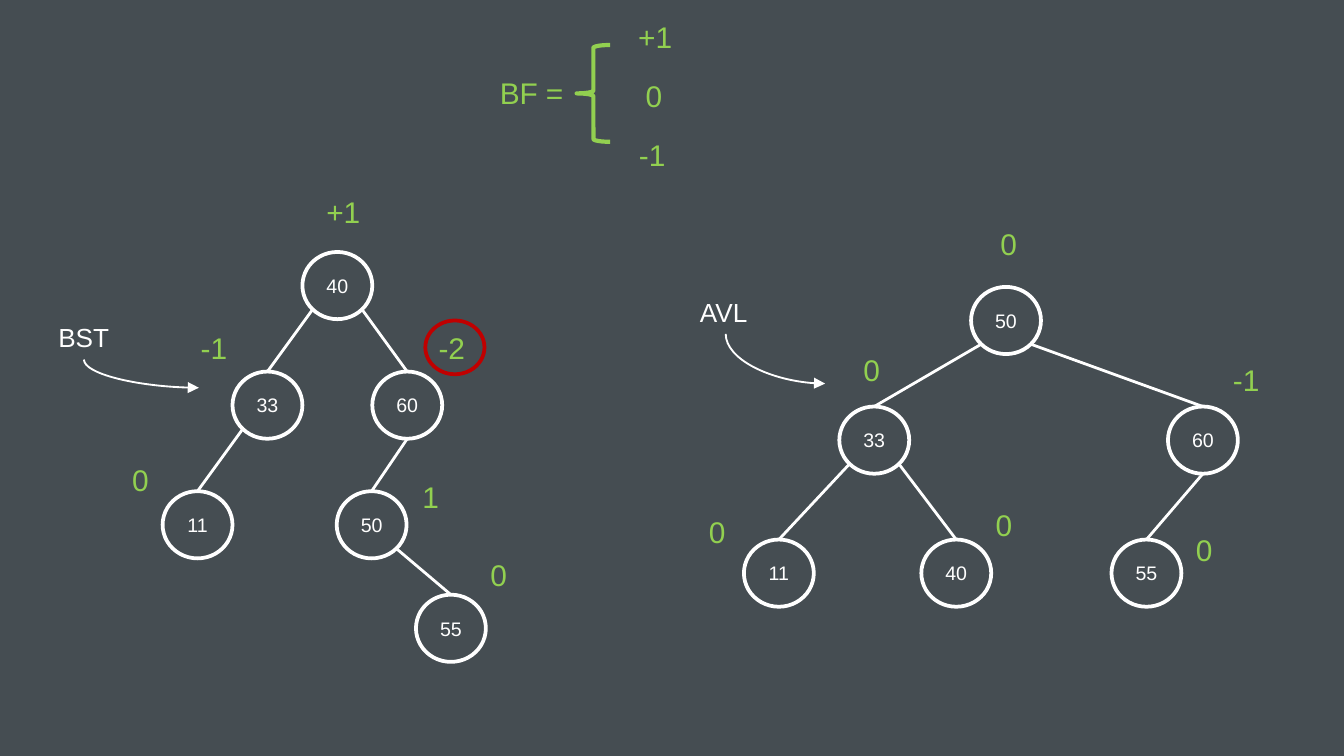
from pptx import Presentation
from pptx.dml.color import RGBColor
from pptx.enum.shapes import MSO_CONNECTOR, MSO_SHAPE
from pptx.enum.text import MSO_ANCHOR, MSO_AUTO_SIZE, PP_ALIGN
from pptx.oxml.ns import qn
from pptx.util import Pt
from lxml import etree

STRAIGHT, CURVE = MSO_CONNECTOR.STRAIGHT, MSO_CONNECTOR.CURVE
OVAL, BRACE = MSO_SHAPE.OVAL, MSO_SHAPE.LEFT_BRACE
TOP, MIDDLE = MSO_ANCHOR.TOP, MSO_ANCHOR.MIDDLE
FIT_SHAPE = MSO_AUTO_SIZE.SHAPE_TO_FIT_TEXT
CENTER = PP_ALIGN.CENTER

BACKGROUND = RGBColor(0x45, 0x4D, 0x52)
WHITE = RGBColor(0xFF, 0xFF, 0xFF)
GREEN = RGBColor(0x92, 0xD0, 0x50)
RED = RGBColor(0xC0, 0x00, 0x00)

EMU_PER_PX = 4572  # 200 px to the inch
NODE_W, NODE_H = 104, 100
DIAGONAL = 0.35  # offset of a 45° point on an ellipse, as a share of its size
LEFT, BELOW, RIGHT = -1, 0, 1

# Node value: left, top
BST_NODES = {"40": (450, 375), "33": (346, 553), "60": (554, 553),
             "11": (242, 731), "50": (501, 731), "55": (619, 885)}
# Parent, side where the edge leaves it, child
BST_EDGES = [("40", LEFT, "33"), ("33", LEFT, "11"), ("40", RIGHT, "60"),
             ("60", BELOW, "50"), ("50", RIGHT, "55")]
AVL_NODES = {"50": (1445, 427), "33": (1249, 605), "60": (1738, 605),
             "11": (1107, 803), "55": (1654, 803), "40": (1371, 803)}
AVL_EDGES = [("50", LEFT, "33"), ("33", LEFT, "11"), ("50", RIGHT, "60"),
             ("33", RIGHT, "40"), ("60", BELOW, "55")]

# Text, left, top, width
BALANCE_FACTORS = [
    ("0", 710, 819, 56), ("1", 609, 702, 56), ("-2", 633, 481, 82),
    ("-1", 279, 481, 82), ("0", 177, 677, 56), ("+1", 466, 278, 104),
    ("0", 1760, 782, 56), ("-1", 1815, 528, 86), ("0", 1469, 326, 56),
    ("0", 1035, 754, 56), ("0", 1462, 744, 56), ("0", 1265, 513, 56),
]
FORMULA = [("BF =", 724, 102, 150), ("+1", 930, 18, 116),
           ("0", 941, 106, 62), ("-1", 931, 194, 82)]


def px(*lengths):
    return [round(n * EMU_PER_PX) for n in lengths]


def add_run(p, text, size, color):
    r = p.add_run()
    r.text = text
    r.font.name = "Arial"
    r.font.size = Pt(size)
    r.font.color.rgb = color


def add_outline(s, kind, x, y, w, h, color, weight):
    """Add an unfilled preset shape."""
    sp = s.shapes.add_shape(kind, *px(x, y, w, h))
    sp.shadow.inherit = False
    sp.fill.background()
    sp.line.color.rgb = color
    sp.line.width = Pt(weight)
    return sp


def add_node(s, value, x, y):
    sp = add_outline(s, OVAL, x, y, NODE_W, NODE_H, WHITE, 2)
    tf = sp.text_frame
    tf.vertical_anchor = MIDDLE
    p = tf.paragraphs[0]
    p.alignment = CENTER
    add_run(p, value, 10.5, WHITE)


def add_line(s, kind, x1, y1, x2, y2, weight):
    cxn = s.shapes.add_connector(kind, *px(x1, y1, x2, y2))
    cxn.line.color.rgb = WHITE
    cxn.line.width = Pt(weight)
    etree.SubElement(cxn._element.spPr, qn("a:effectLst"))
    return cxn


def add_edge(s, parent, side, child):
    """Join the lower rim of the parent to the top of the child."""
    drop = DIAGONAL if side else 0.5
    x1 = parent[0] + NODE_W * (0.5 + side * DIAGONAL)
    y1 = parent[1] + NODE_H * (0.5 + drop)
    add_line(s, STRAIGHT, x1, y1, child[0] + NODE_W / 2, child[1], 1.5)


def add_tree(s, nodes, edges):
    for value, (x, y) in nodes.items():
        add_node(s, value, x, y)
    for parent, side, child in edges:
        add_edge(s, nodes[parent], side, nodes[child])


def add_curved_arrow(s, x, y, w, h):
    """Arrow going down, then right, inside the given box: a flipped quarter turn."""
    cx, cy = x + w / 2, y + h / 2
    cxn = add_line(s, CURVE, cx + h / 2, cy - w / 2, cx - h / 2, cy + w / 2, 1)
    spPr = cxn._element.spPr
    spPr.find(qn("a:xfrm")).set("rot", "16200000")
    spPr.find(qn("a:prstGeom")).set("prst", "curvedConnector2")
    etree.SubElement(spPr.find(qn("a:ln")), qn("a:tailEnd"), type="triangle")


def add_label(s, text, x, y, w, h=74, size=16, color=GREEN, anchor=TOP):
    tf = s.shapes.add_textbox(*px(x, y, w, h)).text_frame
    tf.word_wrap = True
    tf.auto_size = FIT_SHAPE
    tf.vertical_anchor = anchor
    add_run(tf.paragraphs[0], text, size, color)


def add_tree_name(s, text, x, y):
    add_label(s, text, x, y, 116, 68, 14, WHITE, MIDDLE)


def main():
    prs = Presentation()
    prs.slide_width, prs.slide_height = px(2000, 1125)
    s = prs.slides.add_slide(prs.slide_layouts[6])
    s.background.fill.solid()
    s.background.fill.fore_color.rgb = BACKGROUND

    add_tree(s, BST_NODES, BST_EDGES)
    add_tree(s, AVL_NODES, AVL_EDGES)

    add_curved_arrow(s, 125, 535, 171, 42)
    add_tree_name(s, "BST", 67, 468)
    add_curved_arrow(s, 1080, 497, 148, 74)
    add_tree_name(s, "AVL", 1022, 430)

    for label in BALANCE_FACTORS + FORMULA:
        add_label(s, *label)
    add_outline(s, OVAL, 633, 477, 88, 80, RED, 2)
    add_outline(s, BRACE, 858, 67, 50, 144, GREEN, 2.25)

    prs.save("out.pptx")


if __name__ == "__main__":
    main()
